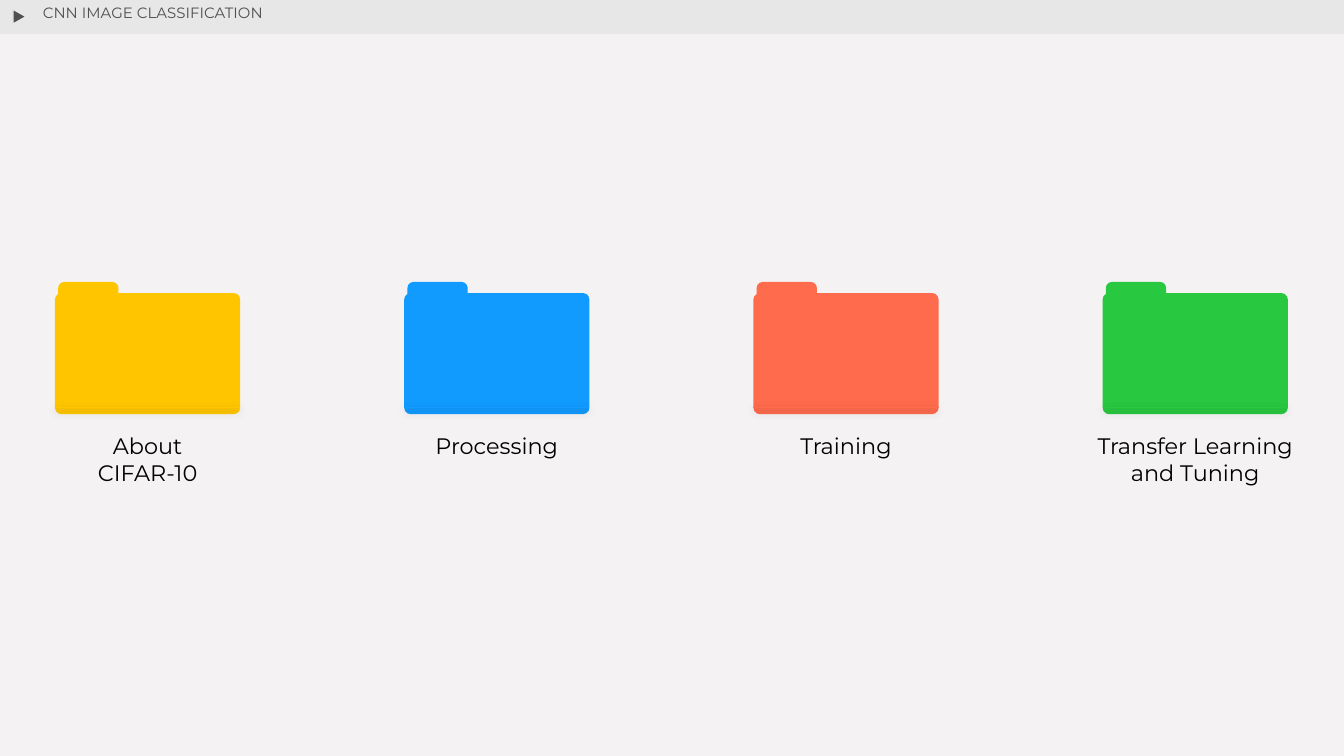
"""Build the title slide of an image classification deck with four folders."""
from lxml.etree import SubElement
from pptx import Presentation
from pptx.dml.color import RGBColor
from pptx.enum.shapes import MSO_CONNECTOR, MSO_SHAPE
from pptx.enum.text import PP_ALIGN
from pptx.oxml.ns import qn
from pptx.util import Cm, Pt

COLORS = {
    "back": "F4F2F2",
    "bar": "E7E7E7",
    "gray": "4F4F4F",
    "black": "000000",
    "yellow": "FFC600",
    "blue": "119BFE",
    "coral": "FF6B4D",
    "green": "28C840",
}
FOLDERS = [
    ("About CIFAR-10", "yellow", 3.7),
    ("Processing", "blue", 3.5),
    ("Training", "coral", 3.5),
    ("Transfer Learning and Tuning", "green", 4.24),
]
LEFT, STEP, WIDTH = 1.04, 6.6, 3.5


def rgb(name):
    """Return the named colour."""
    return RGBColor.from_string(COLORS[name])


def add_block(shapes, kind, box, color, *adjust):
    """Add a filled shape without outline or shadow."""
    block = shapes.add_shape(kind, *map(Cm, box))
    block.shadow.inherit = False
    block.fill.solid()
    block.fill.fore_color.rgb = rgb(color)
    block.line.fill.background()
    for index, value in enumerate(adjust):
        block.adjustments[index] = value
    return block


def add_label(shapes, text, box, size, color, align):
    """Add a wrapped text box with one paragraph."""
    frame = shapes.add_textbox(*map(Cm, box)).text_frame
    frame.word_wrap = True
    frame.margin_left = frame.margin_right = Cm(0.25)
    frame.margin_top = frame.margin_bottom = Cm(0.25)
    para = frame.paragraphs[0]
    para.text = text
    para.alignment = align
    para.font.name = "Montserrat"
    para.font.size = Pt(size)
    para.font.color.rgb = rgb(color)


def add_crease(shapes, left, top, color):
    """Add a line across the folder with a soft shadow below it."""
    line = shapes.add_connector(
        MSO_CONNECTOR.STRAIGHT, Cm(left), Cm(top), Cm(left + WIDTH), Cm(top)
    )
    line.line.color.rgb = rgb(color)
    line.line.width = Pt(0.75)
    effects = SubElement(line._element.spPr, qn("a:effectLst"))
    shadow = SubElement(
        effects, qn("a:outerShdw"), blurRad=str(Pt(4.5)), dist=str(Pt(1.5)),
        dir="5400000", algn="bl", rotWithShape="0"
    )
    tint = SubElement(shadow, qn("a:srgbClr"), val=COLORS["black"])
    SubElement(tint, qn("a:alpha"), val="30000")


def add_folder(slide, left, color):
    """Add a grouped folder made of a tab, a body and a crease."""
    shapes = slide.shapes.add_group_shape().shapes
    add_block(shapes, MSO_SHAPE.ROUND_2_SAME_RECTANGLE,
              (left + 0.06, 5.33, 1.14, 0.23), color, 0.5, 0)
    add_block(shapes, MSO_SHAPE.ROUNDED_RECTANGLE,
              (left, 5.54, WIDTH, 2.29), color, 0.053)
    add_crease(shapes, left, 7.7, color)


def add_header(slide):
    """Add the top bar with its arrow and title."""
    shapes = slide.shapes
    add_block(shapes, MSO_SHAPE.RECTANGLE, (0, 0, 25.4, 0.64), "bar")
    arrow = add_block(shapes, MSO_SHAPE.ISOSCELES_TRIANGLE,
                      (0.23, 0.19, 0.28, 0.25), "gray")
    arrow.rotation = 90
    arrow.line.color.rgb = rgb("bar")
    arrow.line.width = Pt(0.75)
    add_label(shapes, "CNN IMAGE CLASSIFICATION", (0.56, -0.1, 10.6, 1.2),
              8, "gray", PP_ALIGN.LEFT)


def main():
    """Create the slide and save it."""
    deck = Presentation()
    deck.slide_width, deck.slide_height = Cm(25.4), Cm(14.29)
    slide = deck.slides.add_slide(deck.slide_layouts[6])
    slide.background.fill.solid()
    slide.background.fill.fore_color.rgb = rgb("back")
    add_header(slide)
    for index, (text, color, width) in enumerate(FOLDERS):
        left = LEFT + index * STEP
        add_folder(slide, left, color)
        start = left + (WIDTH - width) / 2
        add_label(slide.shapes, text, (start, 7.92, width, 1.02),
                  12, "black", PP_ALIGN.CENTER)
    deck.save("out.pptx")


if __name__ == "__main__":
    main()
